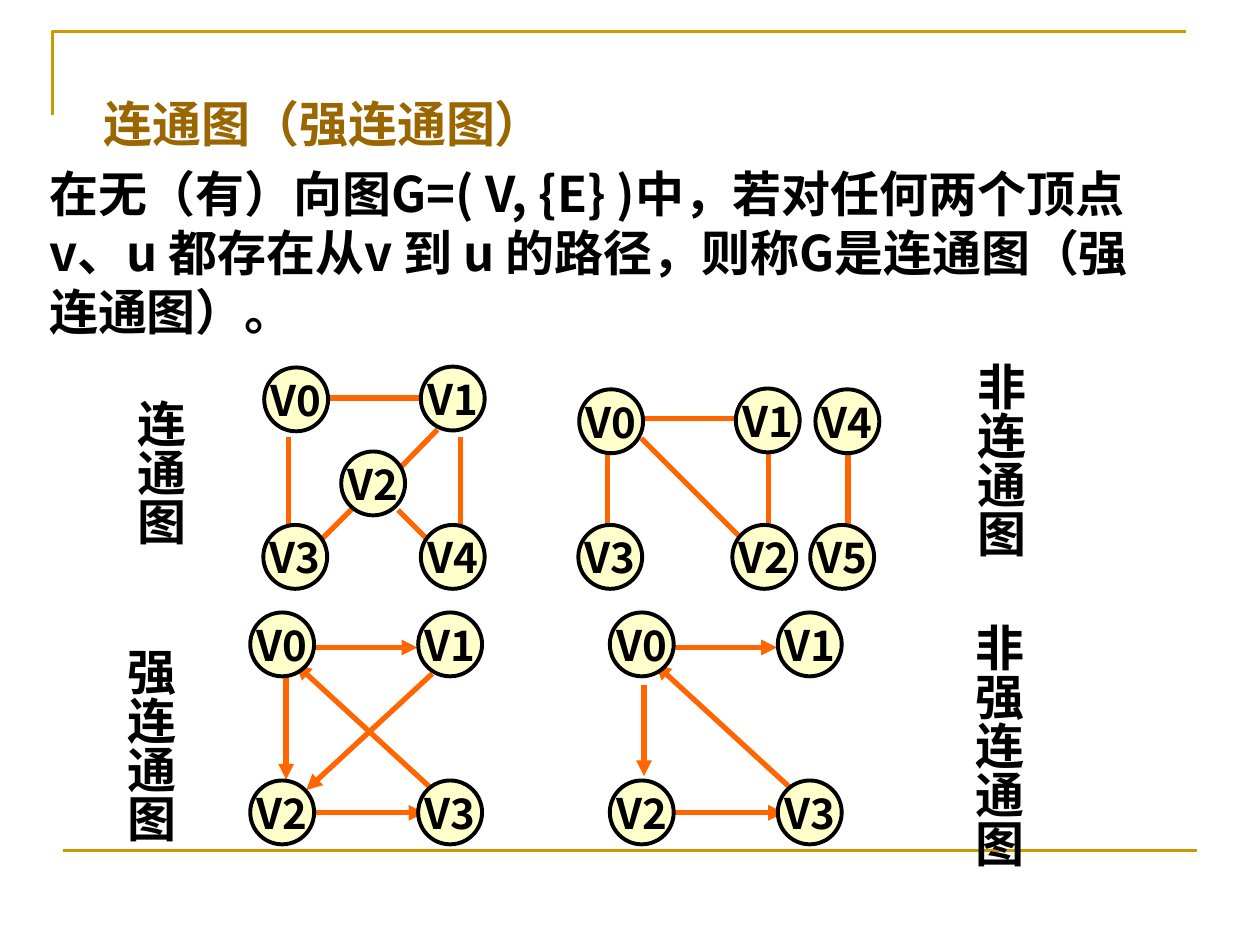
"""Build the slide on connected and strongly connected graphs."""
from dataclasses import dataclass
from lxml.etree import SubElement
from pptx import Presentation
from pptx.dml.color import RGBColor
from pptx.enum.shapes import MSO_CONNECTOR as Connector, MSO_SHAPE as Preset
from pptx.enum.text import MSO_ANCHOR as Anchor, MSO_AUTO_SIZE as AutoSize, PP_ALIGN as Align
from pptx.oxml.ns import qn
from pptx.util import Pt


@dataclass(frozen=True)
class Theme:
    frame: RGBColor = RGBColor.from_string("CC9900")
    title: RGBColor = RGBColor.from_string("996600")
    text: RGBColor = RGBColor.from_string("000000")
    edge: RGBColor = RGBColor.from_string("FF6600")
    node: RGBColor = RGBColor.from_string("FFFFCC")
    font: str = "Noto Sans CJK SC"
    title_font: str = "DejaVu Sans"
    text_size: int = 28
    node_size: int = 24
    line_height: float = 1.2


theme = Theme()


def write_text(shape, text, *, size=theme.text_size, color=theme.text, font=theme.font,
               align=Align.LEFT, anchor=Anchor.TOP, margins=(7.2, 3.6), wrap=True, vertical=False):
    frame = shape.text_frame
    frame.auto_size = AutoSize.NONE
    frame.word_wrap = wrap
    frame.vertical_anchor = anchor
    frame.margin_left = frame.margin_right = Pt(margins[0])
    frame.margin_top = frame.margin_bottom = Pt(margins[1])
    if vertical:
        frame._txBody.bodyPr.set("vert", "eaVert")
    paragraph = frame.paragraphs[0]
    paragraph.alignment = align
    paragraph.space_before = Pt(0)
    paragraph.line_spacing = Pt(size * theme.line_height)
    run = paragraph.add_run()
    run.text = text
    run.font.size, run.font.bold, run.font.name = Pt(size), True, font
    run.font.color.rgb = color
    SubElement(run._r.get_or_add_rPr(), qn("a:ea"), typeface=theme.font)


def add_line(shapes, points, color, width, arrow=False):
    line = shapes.add_connector(Connector.STRAIGHT, *map(Pt, points))
    line.line.color.rgb = color
    line.line.width = Pt(width)
    if arrow:
        SubElement(line.line._get_or_add_ln(), qn("a:tailEnd"), type="triangle")
    SubElement(line._element.spPr, qn("a:effectLst"))


presentation = Presentation()
presentation.slide_width, presentation.slide_height = Pt(720), Pt(540)
slide = presentation.slides.add_slide(presentation.slide_layouts[5])

builder = slide.shapes.build_freeform(Pt(30), Pt(66), scale=1.0)
builder.add_line_segments([(Pt(30), Pt(18)), (Pt(678), Pt(18))], close=False)
corner = builder.convert_to_shape()
corner.shadow.inherit = False
corner.fill.background()
corner.line.color.rgb = theme.frame
corner.line.width = Pt(1.5)
add_line(slide.shapes, (36, 486, 684, 486), theme.frame, 1.5)

title = slide.shapes.title
title.left, title.top, title.width, title.height = Pt(52), Pt(50), Pt(280), Pt(41)
write_text(title, "连通图（强连通图）", color=theme.title, font=theme.title_font)

definition = slide.shapes.add_textbox(Pt(21), Pt(90), Pt(654), Pt(108))
write_text(definition, "在无（有）向图G=( V, {E} )中，若对任何两个顶点 v、u 都存在从v 到 u 的路径，"
                       "则称G是连通图（强连通图）。")

label_width = 48
for label, center, top in [("非连通图", 571.5, 200), ("连通图", 91.5, 221),
                           ("强连通图", 86, 363), ("非强连通图", 570.5, 349)]:
    height = len(label) * theme.text_size + 20
    box = slide.shapes.add_textbox(Pt(center - label_width / 2), Pt(top), Pt(label_width), Pt(height))
    write_text(box, label, margins=(3.6, 7.2), anchor=Anchor.MIDDLE, vertical=True)

digraph_nodes = {"V0": (143, 350), "V1": (239, 350), "V2": (143, 446), "V3": (239, 446)}
digraph_edges = [(179.5, 464.5, 242.5, 464.5), (179.5, 370, 238.5, 370), (253.5, 457, 169, 379.5)]
shift = 205.5
graphs = [
    ({name: (x + shift, y) for name, (x, y) in digraph_nodes.items()},
     [(368, 391.5, 368, 443.5)]
     + [(x1 + shift, y1, x2 + shift, y2) for x1, y1, x2, y2 in digraph_edges], True),
    ({"V0": (151, 210), "V1": (240.5, 209.5), "V2": (195, 258), "V3": (150.5, 300), "V4": (240.5, 300)},
     [(165, 250, 165, 302), (186.5, 227.5, 245.5, 227.5), (263, 250, 263, 302),
      (203, 289, 182, 310), (250, 245.5, 229, 267), (227.5, 291.5, 245.5, 309.5)], False),
    (digraph_nodes,
     [(163.5, 385, 163.5, 445.5), *digraph_edges, (247, 385, 175, 451.5)], True),
    ({"V0": (331, 222.5), "V1": (420.5, 222), "V2": (418.5, 300), "V3": (330.5, 300)},
     [(366.5, 250.5, 425.5, 309.5), (347, 258, 347, 304),
      (367, 239, 423.5, 239), (439, 258, 439, 304)], False),
    ({"V4": (466, 222.5), "V5": (463, 300)}, [(484.5, 255, 484.5, 301)], False),
]
diameter = 36.5
for nodes, edges, directed in graphs:
    group = slide.shapes.add_group_shape()
    for points in edges:
        add_line(group.shapes, points, theme.edge, 3, arrow=directed)
    for name, (left, top) in nodes.items():
        node = group.shapes.add_shape(Preset.OVAL, Pt(left), Pt(top), Pt(diameter), Pt(diameter))
        node.shadow.inherit = False
        node.fill.solid()
        node.fill.fore_color.rgb = theme.node
        node.line.color.rgb = theme.text
        node.line.width = Pt(2.25)
        write_text(node, name, size=theme.node_size, align=Align.CENTER,
                   anchor=Anchor.MIDDLE, margins=(0, 0), wrap=False)

presentation.save("out.pptx")
